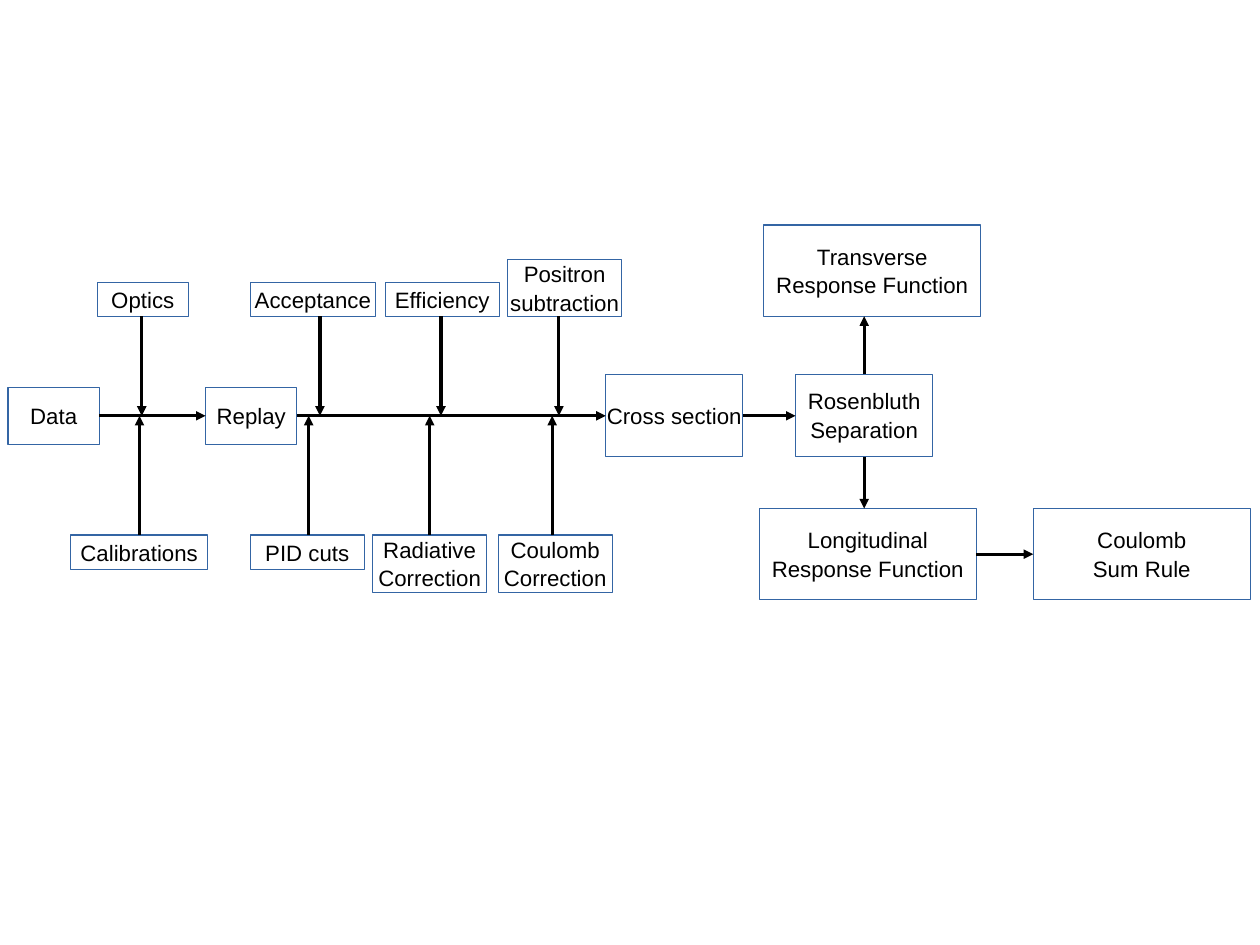
from dataclasses import dataclass

from lxml import etree
from pptx import Presentation
from pptx.dml.color import RGBColor
from pptx.enum.shapes import MSO_CONNECTOR as Connector, MSO_SHAPE as Preset
from pptx.enum.text import MSO_ANCHOR as Anchor, PP_ALIGN as Align
from pptx.oxml.ns import qn
from pptx.util import Cm, Pt

BORDER, INK = "3465A4", "000000"
FONT = "Arial"

# Measurement inputs: label, left, width, arrow position (cm from the region's left)
INPUTS_ABOVE = [
    ("Optics", 1.98, 2.03, 2.97),
    ("Acceptance", 5.38, 2.79, 6.93),
    ("Efficiency", 8.38, 2.54, 9.62),
    ("Positron\nsubtraction", 11.1, 2.54, 12.24),
]
INPUTS_BELOW = [
    ("Calibrations", 1.39, 3.05, 2.92),
    ("PID cuts", 5.38, 2.54, 6.68),
    ("Radiative\nCorrection", 8.1, 2.54, 9.37),
    ("Coulomb\nCorrection", 10.89, 2.54, 12.09),
]


@dataclass
class Box:
    """A rectangle in centimetres."""
    left: float
    top: float
    width: float
    height: float

    @property
    def right(self):
        return self.left + self.width

    @property
    def bottom(self):
        return self.top + self.height

    @property
    def center(self):
        return self.left + self.width / 2

    @property
    def middle(self):
        return self.top + self.height / 2


def color(hex_code):
    return RGBColor.from_string(hex_code)


def add_step(slide, label, box):
    """Draw an outlined box with one paragraph per line of its label."""
    step = slide.shapes.add_shape(
        Preset.RECTANGLE, Cm(box.left), Cm(box.top), Cm(box.width), Cm(box.height))
    step.shadow.inherit = False
    step.fill.background()
    step.line.color.rgb = color(BORDER)
    step.line.width = Pt(0)
    frame = step.text_frame
    frame.word_wrap = False
    frame.vertical_anchor = Anchor.MIDDLE
    for index, words in enumerate(label.split("\n")):
        paragraph = frame.add_paragraph() if index else frame.paragraphs[0]
        paragraph.alignment = Align.CENTER
        paragraph.space_after = Pt(1.4)
        run = paragraph.add_run()
        run.text = words
        run.font.name = FONT
        run.font.size = Pt(14)
        run.font.color.rgb = color(INK)
    return box


def add_arrow(slide, x1, y1, x2, y2):
    arrow = slide.shapes.add_connector(
        Connector.STRAIGHT, Cm(x1), Cm(y1), Cm(x2), Cm(y2))
    arrow.line.color.rgb = color(INK)
    arrow.line.width = Pt(0)
    etree.SubElement(arrow.line._get_or_add_ln(), qn("a:tailEnd"), type="triangle")
    etree.SubElement(arrow._element.spPr, qn("a:effectLst"))


def add_inputs(slide, region, axis):
    """Place inputs on the region's upper and lower edges, pointing to the axis."""
    for inputs, above in ((INPUTS_ABOVE, True), (INPUTS_BELOW, False)):
        for label, left, width, arrow_x in inputs:
            height = 1.27 if "\n" in label else 0.76
            edge = region.top if above else region.bottom
            top = edge - height if above else edge
            add_step(slide, label, Box(region.left + left, top, width, height))
            add_arrow(slide, region.left + arrow_x, edge, region.left + arrow_x, axis)


def add_measurement(slide, region, axis):
    """Draw the line from data to cross section; return its last box."""
    data = add_step(slide, "Data", Box(region.left, axis - 0.63, 2.03, 1.27))
    replay = add_step(slide, "Replay", Box(region.left + 4.39, axis - 0.63, 2.03, 1.27))
    cross_section = add_step(
        slide, "Cross section", Box(region.right - 3.05, axis - 0.92, 3.05, 1.83))
    add_arrow(slide, data.right, axis, replay.left, axis)
    add_arrow(slide, replay.right, axis, cross_section.left, axis)
    add_inputs(slide, region, axis)
    return cross_section


def add_results(slide, region, axis):
    """Draw the separation and the functions it yields; return its first box."""
    separation = add_step(
        slide, "Rosenbluth\nSeparation", Box(region.left + 0.81, axis - 0.92, 3.05, 1.83))
    width, height = 4.83, 2.03
    low = region.bottom - height
    transverse = add_step(slide, "Transverse\nResponse Function",
                          Box(region.left + 0.1, region.top, width, height))
    longitudinal = add_step(slide, "Longitudinal\nResponse Function",
                            Box(region.left, low, width, height))
    sum_rule = add_step(slide, "Coulomb\nSum Rule",
                        Box(region.right - width, low, width, height))
    x = separation.center
    add_arrow(slide, x, separation.top, x, transverse.bottom)
    add_arrow(slide, x, separation.bottom, x, longitudinal.top)
    add_arrow(slide, longitudinal.right, longitudinal.middle,
              sum_rule.left, sum_rule.middle)
    return separation


def main():
    deck = Presentation()
    deck.slide_width, deck.slide_height = Cm(28), Cm(21)
    slide = deck.slides.add_slide(deck.slide_layouts[6])
    axis = 9.24
    cross_section = add_measurement(slide, Box(0.18, 7.03, 16.33, 4.86), axis)
    separation = add_results(slide, Box(16.87, 5, 10.92, 8.33), axis)
    add_arrow(slide, cross_section.right, axis, separation.left, axis)
    deck.save("out.pptx")


if __name__ == "__main__":
    main()
